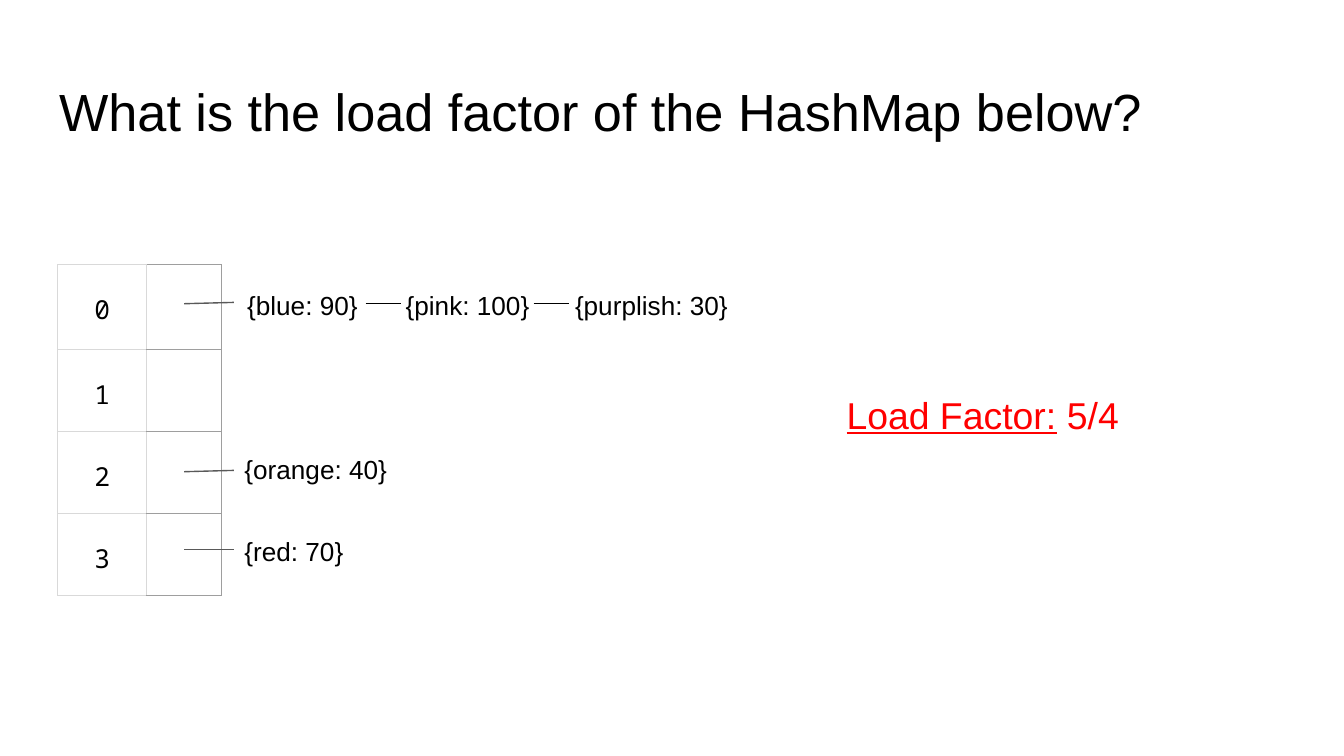
from lxml import etree
from pptx import Presentation
from pptx.dml.color import RGBColor
from pptx.enum import shapes, text
from pptx.oxml import ns
from pptx.util import Inches, Pt

BLACK = RGBColor(0x00, 0x00, 0x00)
RED = RGBColor(0xFF, 0x00, 0x00)
DARK_GRAY = RGBColor(0x59, 0x59, 0x59)
MID_GRAY = RGBColor(0x9E, 0x9E, 0x9E)
LIGHT_GRAY = RGBColor(0xD9, 0xD9, 0xD9)


class SlideBuilder:
    font = "Arial"
    mono = "Noto Sans Mono"
    margin = Inches(0.1)
    line_width = Pt(0.75)

    def __init__(self, s):
        self.s = s

    def set_font(self, p, size, color=BLACK, name=None):
        p.font.name = name or self.font
        p.font.size = Pt(size)
        p.font.color.rgb = color

    def set_frame(self, tf):
        tf.word_wrap = True
        tf.auto_size = text.MSO_AUTO_SIZE.NONE
        tf.vertical_anchor = text.MSO_ANCHOR.TOP
        tf.margin_left = tf.margin_right = self.margin
        tf.margin_top = tf.margin_bottom = self.margin

    def title(self, words, x, y, w, h):
        sp = self.s.shapes.title
        sp.left, sp.top, sp.width, sp.height = map(Inches, (x, y, w, h))
        self.set_frame(sp.text_frame)
        p = sp.text_frame.paragraphs[0]
        p.text = words
        p.alignment = text.PP_ALIGN.LEFT
        self.set_font(p, 28)

    def label(self, runs, x, y, w, h=0.35, size=14, color=BLACK, spacing=None):
        sp = self.s.shapes.add_textbox(*map(Inches, (x, y, w, h)))
        self.set_frame(sp.text_frame)
        p = sp.text_frame.paragraphs[0]
        p.line_spacing = spacing
        self.set_font(p, size, color)
        for words, underlined in runs:
            r = p.add_run()
            r.text = words
            if underlined:
                r.font.underline = True

    def link(self, x1, y1, x2, y2, color):
        line = self.s.shapes.add_connector(
            shapes.MSO_CONNECTOR.STRAIGHT, *map(Inches, (x1, y1, x2, y2)))
        line.line.color.rgb = color
        line.line.width = self.line_width
        etree.SubElement(line._element.spPr, ns.qn("a:effectLst"))

    def cell_borders(self, cell, colors):
        tc_pr = cell._tc.get_or_add_tcPr()
        for i, (side, color) in enumerate(zip("LRTB", colors)):
            ln = etree.Element(ns.qn(f"a:ln{side}"), w=str(self.line_width))
            fill = etree.SubElement(ln, ns.qn("a:solidFill"))
            etree.SubElement(fill, ns.qn("a:srgbClr"), val=str(color))
            tc_pr.insert(i, ln)

    def buckets(self, x, y, widths, heights):
        frame = self.s.shapes.add_table(
            len(heights), len(widths), Inches(x), Inches(y),
            Inches(sum(widths)), Inches(sum(heights)))
        table = frame.table
        table.first_row = table.horz_banding = False
        for column, width in zip(table.columns, widths):
            column.width = Inches(width)
        for i, height in enumerate(heights):
            table.rows[i].height = Inches(height)
            index, pointer = table.cell(i, 0), table.cell(i, 1)
            for cell in (index, pointer):
                cell.fill.background()
                cell.margin_left = cell.margin_right = self.margin
                cell.margin_top, cell.margin_bottom = Inches(0.2), self.margin
            p = index.text_frame.paragraphs[0]
            p.text = str(i)
            p.alignment = text.PP_ALIGN.CENTER
            self.set_font(p, 14, name=self.mono)
            pointer.text_frame.paragraphs[0].font.size = Pt(14)
            self.cell_borders(index, [LIGHT_GRAY] * 4)
            self.cell_borders(pointer, [LIGHT_GRAY] + [MID_GRAY] * 3)


def main():
    prs = Presentation()
    prs.slide_width = Inches(10)
    prs.slide_height = prs.slide_width * 9 // 16
    b = SlideBuilder(prs.slides.add_slide(prs.slide_layouts[5]))

    b.title("What is the load factor of the HashMap below?", 0.34, 0.49, 9.32, 0.63)
    b.buckets(0.43, 1.97, [0.66, 0.56], [0.63, 0.61, 0.61, 0.61])

    for entry, x, y, w in [
        ("{blue: 90}", 1.74, 2.05, 1.08),
        ("{pink: 100}", 2.92, 2.05, 1.23),
        ("{purplish: 30}", 4.18, 2.05, 1.51),
        ("{orange: 40}", 1.72, 3.27, 1.51),
        ("{red: 70}", 1.72, 3.88, 1.32),
    ]:
        b.label([(entry, False)], x, y, w)

    for y1, y2 in [(2.26, 2.25), (3.51, 3.5), (4.09, 4.09)]:
        b.link(1.37, y1, 1.74, y2, DARK_GRAY)
    for x in (2.72, 3.97):
        b.link(x, 2.26, x + 0.26, 2.26, BLACK)

    b.label([("Load Factor:", True), (" 5/4", False)],
            6.2, 2.65, 2.55, 0.63, size=20, color=RED, spacing=1.5)

    prs.save("out.pptx")


if __name__ == "__main__":
    main()
